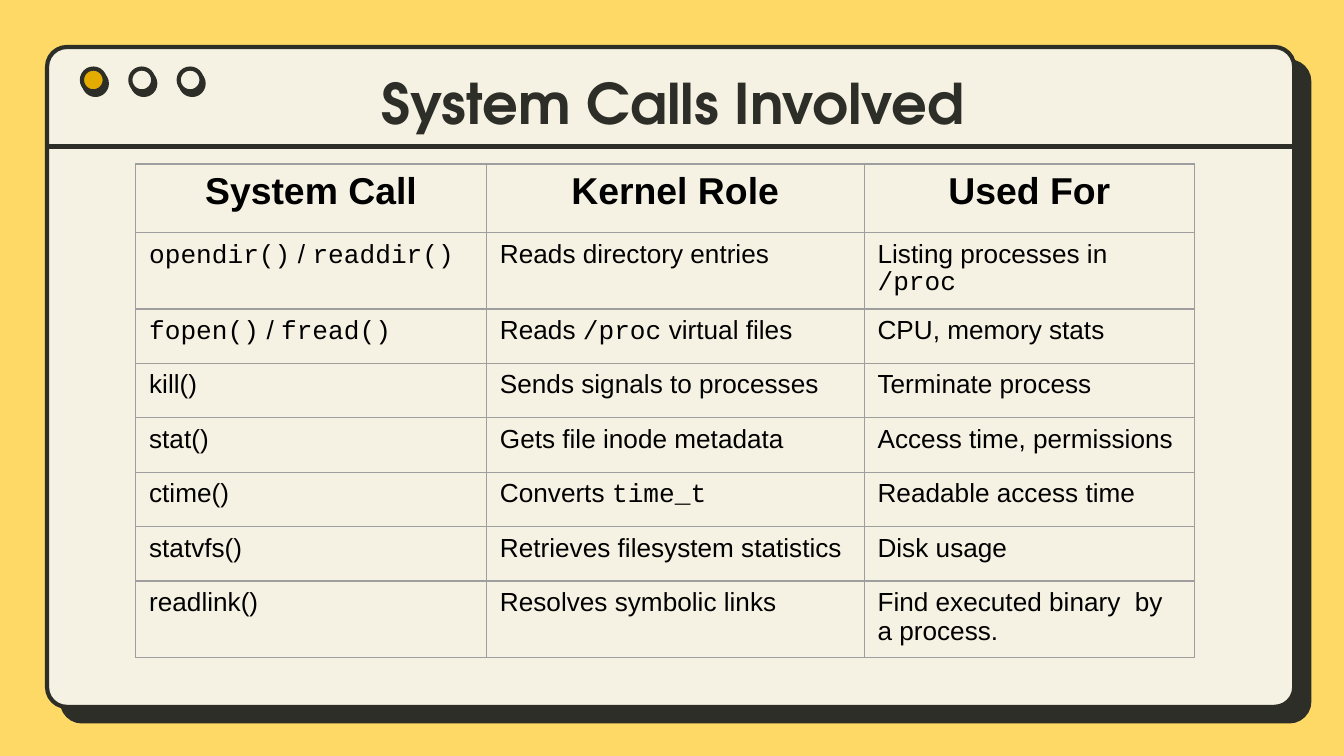
import dataclasses

import lxml.etree
import pptx
import pptx.dml.color
import pptx.enum.shapes
import pptx.enum.text
import pptx.oxml
import pptx.oxml.ns
import pptx.util

RGB = pptx.dml.color.RGBColor
SHAPE = pptx.enum.shapes.MSO_SHAPE
ALIGN = pptx.enum.text.PP_ALIGN
ANCHOR = pptx.enum.text.MSO_ANCHOR

YELLOW = RGB(0xFF, 0xD9, 0x66)
CREAM = RGB(0xF6, 0xF2, 0xE3)
DARK = RGB(0x2D, 0x2E, 0x27)
AMBER = RGB(0xE4, 0xAB, 0x00)
GREY = RGB(0x9E, 0x9E, 0x9E)
BLACK = RGB(0x00, 0x00, 0x00)

WIDTH = pptx.util.Inches(10)
HEIGHT = WIDTH * 9 // 16
STROKE = pptx.util.Pt(2.25)

# A pair of backticks sets the text between them in the code font.
HEADS = ("System Call", "Kernel Role", "Used For")
CALLS = (
    ("`opendir()` / `readdir()`", "Reads directory entries", "Listing processes in `/proc`"),
    ("`fopen()` / `fread()`", "Reads `/proc` virtual files", "CPU, memory stats"),
    ("kill()", "Sends signals to processes", "Terminate process"),
    ("stat()", "Gets file inode metadata", "Access time, permissions"),
    ("ctime()", "Converts `time_t`", "Readable access time"),
    ("statvfs()", "Retrieves filesystem statistics", "Disk usage"),
    ("readlink()", "Resolves symbolic links", "Find executed binary  by a process."),
)
COLS = (26.1, 28.1, 24.6)
HEAD_ROW = 9.1
CALL_ROW = 7.2


def across(share: float) -> int:
    """Turn a percentage of the slide's width into a length."""
    return round(WIDTH * share / 100)


def down(share: float) -> int:
    """Turn a percentage of the slide's height into a length."""
    return round(HEIGHT * share / 100)


@dataclasses.dataclass(frozen=True)
class Box:
    """A frame in percentages of the slide's size."""
    left: float
    top: float
    width: float
    height: float

    def frame(self) -> tuple:
        return across(self.left), down(self.top), across(self.width), down(self.height)


@dataclasses.dataclass(frozen=True)
class Form:
    kind: int
    box: Box
    fill: RGB
    drop: float
    angle: int


PANEL = Form(SHAPE.ROUNDED_RECTANGLE, Box(3.5, 6.22, 92.8, 87.29), CREAM, 11.2, 44)
DOTS = [
    Form(SHAPE.OVAL, Box(6.1 + 3.6 * step, 9.07, 1.7, 3.02), fill, 2.2, 60)
    for step, fill in enumerate((AMBER, CREAM, CREAM))
]


def write(frame, text: str, *, size: float, font: str = "Arial", color: RGB = BLACK,
          bold: bool = False, align: int = ALIGN.LEFT) -> None:
    para = frame.paragraphs[0]
    para.alignment = align
    for index, part in enumerate(text.split("`")):
        if part:
            run = para.add_run()
            run.text = part
            run.font.name = "Courier New" if index % 2 else font
            run.font.size = pptx.util.Pt(size)
            run.font.bold = bold
            run.font.color.rgb = color


def add_form(slide, form: Form):
    """Draw an outlined shape with a hard, unblurred shadow."""
    shape = slide.shapes.add_shape(form.kind, *form.box.frame())
    shape.fill.solid()
    shape.fill.fore_color.rgb = form.fill
    shape.line.color.rgb = DARK
    shape.line.width = STROKE
    shape.shadow.inherit = False
    effects = shape.element.spPr.find(pptx.oxml.ns.qn("a:effectLst"))
    effects.append(pptx.oxml.parse_xml(
        f'<a:outerShdw {pptx.oxml.ns.nsdecls("a")} dist="{pptx.util.Pt(form.drop)}" '
        f'dir="{form.angle * 60000}" algn="bl" rotWithShape="0">'
        f'<a:srgbClr val="{DARK}"/></a:outerShdw>'))
    return shape


def add_rule(slide, left: float, right: float, top: float) -> None:
    rule = slide.shapes.add_connector(
        pptx.enum.shapes.MSO_CONNECTOR.STRAIGHT,
        across(right), down(top), across(left), down(top))
    rule.line.color.rgb = DARK
    rule.line.width = STROKE
    lxml.etree.SubElement(rule.element.spPr, pptx.oxml.ns.qn("a:effectLst"))


def add_title(slide, text: str, box: Box) -> None:
    frame = slide.shapes.add_textbox(*box.frame()).text_frame
    frame.word_wrap = True
    frame.vertical_anchor = ANCHOR.BOTTOM
    frame.margin_left = frame.margin_right = pptx.util.Inches(0.1)
    frame.margin_top = frame.margin_bottom = pptx.util.Inches(0.1)
    write(frame, text, size=30, font="TeX Gyre Adventor", color=DARK,
          bold=True, align=ALIGN.CENTER)


def edge(cell) -> None:
    """Give all four sides of a cell a thin grey border."""
    props = cell._tc.get_or_add_tcPr()
    for side in "LRTB":
        props.append(pptx.oxml.parse_xml(
            f'<a:ln{side} {pptx.oxml.ns.nsdecls("a")} w="{pptx.util.Pt(0.75)}">'
            f'<a:solidFill><a:srgbClr val="{GREY}"/></a:solidFill></a:ln{side}>'))


def add_calls(slide, left: float, top: float) -> None:
    box = Box(left, top, sum(COLS), HEAD_ROW + CALL_ROW * len(CALLS))
    table = slide.shapes.add_table(len(CALLS) + 1, len(COLS), *box.frame()).table
    table.first_row = table.horz_banding = False
    for column, share in zip(table.columns, COLS):
        column.width = across(share)
    for index, texts in enumerate((HEADS, *CALLS)):
        head = index == 0
        table.rows[index].height = down(HEAD_ROW if head else CALL_ROW)
        for cell, text in zip(table.rows[index].cells, texts):
            edge(cell)
            if head:
                cell.fill.solid()
                cell.fill.fore_color.rgb = CREAM
                write(cell.text_frame, text, size=20, bold=True, align=ALIGN.CENTER)
            else:
                cell.fill.background()
                write(cell.text_frame, text, size=14)


def main() -> None:
    deck = pptx.Presentation()
    deck.slide_width, deck.slide_height = WIDTH, HEIGHT
    slide = deck.slides.add_slide(deck.slide_layouts[6])
    slide.background.fill.solid()
    slide.background.fill.fore_color.rgb = YELLOW

    add_form(slide, PANEL).adjustments[0] = 0.03
    add_rule(slide, 3.6, 96.4, 19.38)
    for dot in DOTS:
        add_form(slide, dot)
    add_title(slide, "System Calls Involved", Box(7.9, 9.6, 84.3, 10.13))
    add_calls(slide, 10.1, 21.69)
    deck.save("out.pptx")


if __name__ == "__main__":
    main()
